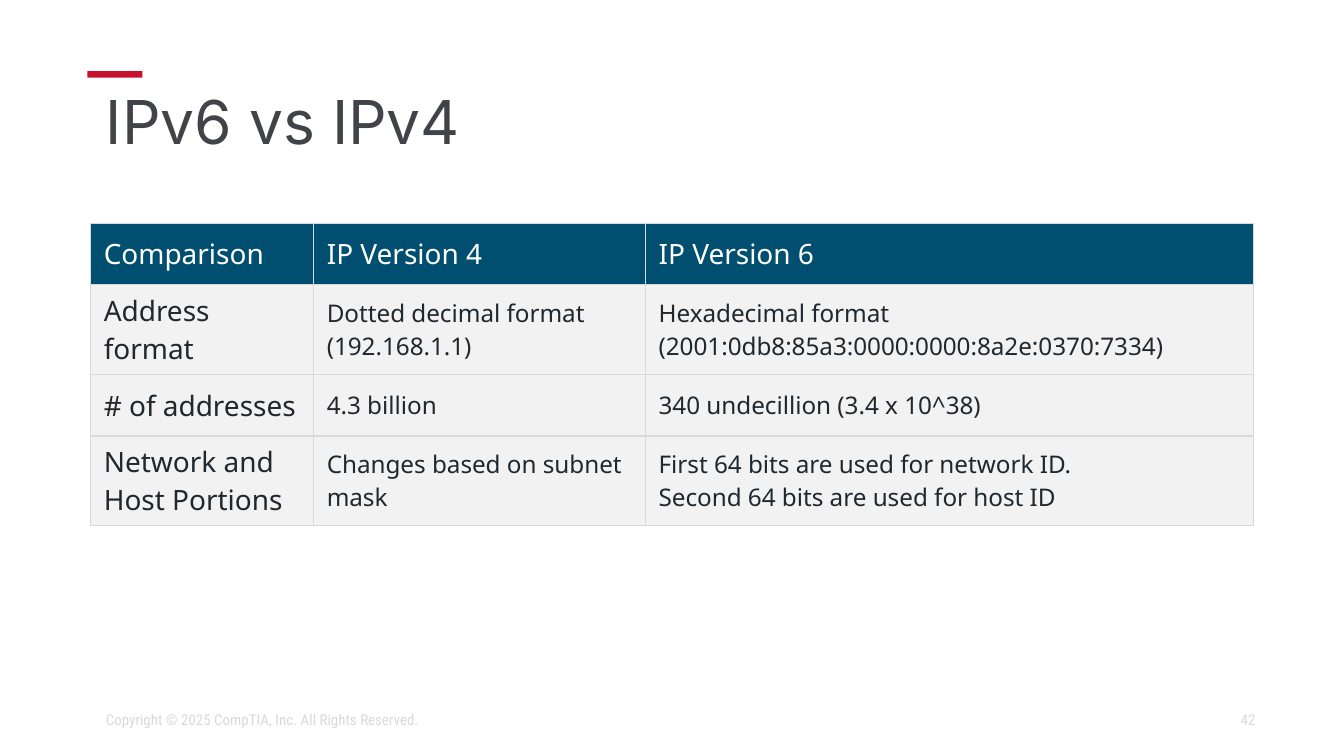
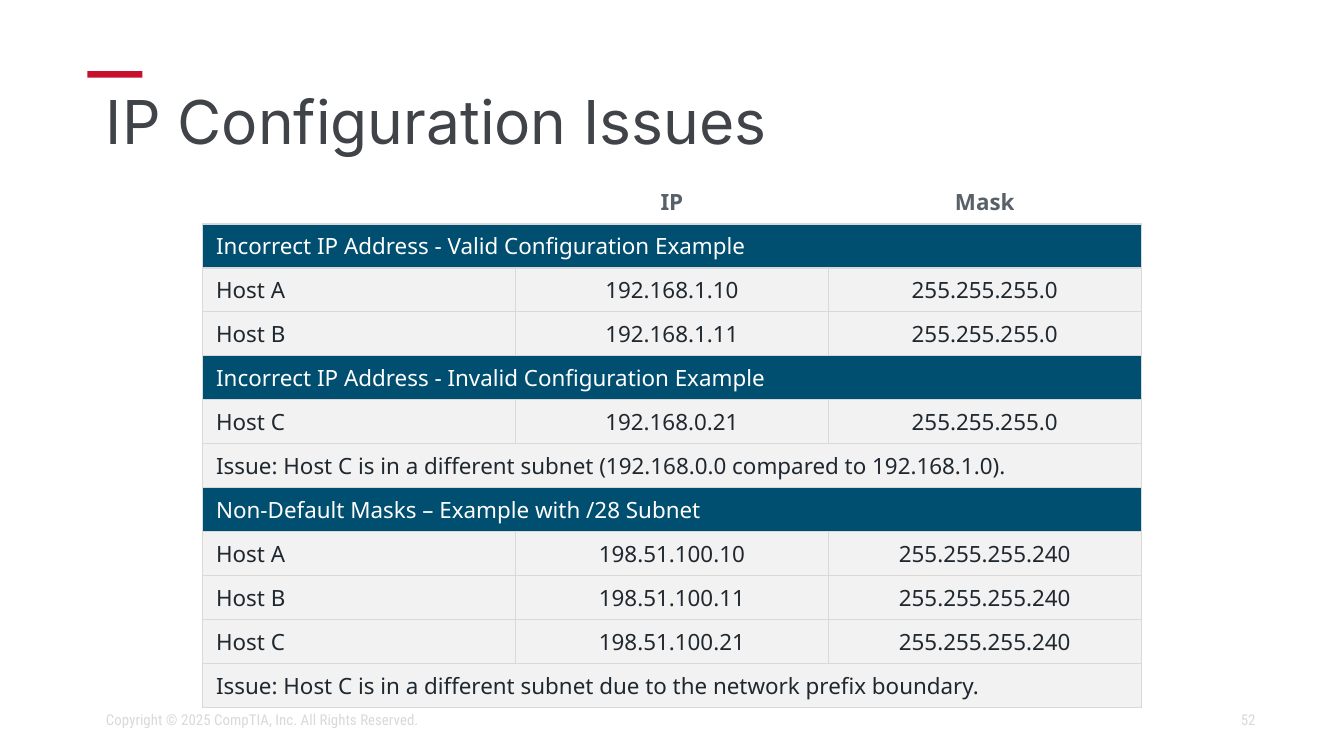
import dataclasses

import lxml.etree
import pptx
import pptx.dml.color
import pptx.enum.shapes
import pptx.enum.text
import pptx.oxml.ns
import pptx.util

Pt = pptx.util.Pt
Align = pptx.enum.text.PP_ALIGN
Anchor = pptx.enum.text.MSO_ANCHOR


@dataclasses.dataclass(frozen=True)
class Theme:
    """Colours, fonts and type sizes of the deck."""

    accent: str = "C8102E"
    title: str = "404448"
    footer: str = "D9D9D9"
    white: str = "FFFFFF"
    band: str = "004F70"
    row: str = "F2F2F2"
    grid: str = "D9D9D9"
    body: str = "20282F"
    caption: str = "586169"
    title_font: str = "Inter"
    body_font: str = "Noto Sans"
    footer_font: str = "Roboto Condensed"
    title_size: float = 32.4
    footer_size: float = 8
    label_size: float = 15
    detail_size: float = 13
    host_size: float = 12
    grid_width: float = 0.75
    edge_width: float = 1


@dataclasses.dataclass(frozen=True)
class Box:
    """A rectangle in points."""

    left: float
    top: float
    width: float
    height: float

    def lengths(self):
        """Return the four sides as lengths."""
        return [Pt(side) for side in dataclasses.astuple(self)]


THEME = Theme()
COPYRIGHT = "Copyright © 2025 CompTIA, Inc. All Rights Reserved."

COMPARISON = [
    ["Comparison", "IP Version 4", "IP Version 6"],
    ["Address format", "Dotted decimal format (192.168.1.1)",
     "Hexadecimal format\n(2001:0db8:85a3:0000:0000:8a2e:0370:7334)"],
    ["# of addresses", "4.3 billion", "340 undecillion (3.4 x 10^38)"],
    ["Network and Host Portions", "Changes based on subnet mask",
     "First 64 bits are used for network ID.\nSecond 64 bits are used for host ID"],
]

HOST_CHECKS = [
    ("caption", ["", "IP", "Mask"]),
    ("band", ["Incorrect IP Address - Valid Configuration Example"]),
    ("host", ["Host A", "192.168.1.10", "255.255.255.0"]),
    ("host", ["Host B", "192.168.1.11", "255.255.255.0"]),
    ("band", ["Incorrect IP Address - Invalid Configuration Example"]),
    ("host", ["Host C", "192.168.0.21", "255.255.255.0"]),
    ("issue", ["Issue: Host C is in a different subnet (192.168.0.0 compared to 192.168.1.0)."]),
    ("band", ["Non-Default Masks – Example with /28 Subnet"]),
    ("host", ["Host A", "198.51.100.10", "255.255.255.240"]),
    ("host", ["Host B", "198.51.100.11", "255.255.255.240"]),
    ("host", ["Host C", "198.51.100.21", "255.255.255.240"]),
    ("issue", ["Issue: Host C is in a different subnet due to the network prefix boundary."]),
]


def rgb(value):
    """Turn a hex string into a colour."""
    return pptx.dml.color.RGBColor.from_string(value)


def apply(target, values):
    """Set each named value on the target."""
    for name, value in values.items():
        setattr(target, name, value)


def write(frame, text, font, size, colour, bold=False, **layout):
    """Write one paragraph for each line of text."""
    for index, line in enumerate(text.split("\n")):
        para = frame.add_paragraph() if index else frame.paragraphs[0]
        apply(para, layout)
        if not line:
            mark = pptx.oxml.ns.qn("a:endParaRPr")
            lxml.etree.SubElement(para._p, mark, sz=str(int(size * 100)))
            continue
        span = para.add_run()
        span.text = line
        apply(span.font, {"name": font, "size": Pt(size), "bold": bold})
        span.font.color.rgb = rgb(colour)


def add_text(page, box, text, font, size, colour, anchor=Anchor.MIDDLE, **layout):
    """Add a wrapped text box."""
    frame = page.shapes.add_textbox(*box.lengths()).text_frame
    apply(frame, {"word_wrap": True, "vertical_anchor": anchor})
    write(frame, text, font, size, colour, **layout)


def add_heading(page, box, title):
    """Place the accent bar and the title in the box."""
    bar = page.shapes.add_shape(
        pptx.enum.shapes.MSO_SHAPE.RECTANGLE,
        *Box(box.left, box.top, 29.5, 3.6).lengths())
    bar.shadow.inherit = False
    bar.fill.solid()
    bar.fill.fore_color.rgb = rgb(THEME.accent)
    bar.line.fill.background()
    add_text(page, Box(box.left + 2.9, box.top + 8, box.width - 2.9, 45.4), title,
             THEME.title_font, THEME.title_size, THEME.title, Anchor.TOP, line_spacing=0.9)


def add_footer(page, box, number):
    """Place the copyright line and page number at the ends of the box."""
    style = (THEME.footer_font, THEME.footer_size, THEME.footer)
    right = Box(box.left + box.width - 171.4, box.top, 171.4, box.height)
    add_text(page, right, str(number), *style, alignment=Align.RIGHT)
    add_text(page, Box(box.left, box.top, 310.3, box.height), COPYRIGHT, *style)


def add_grid(page, box, widths, heights):
    """Add a plain table with the given column widths and row heights."""
    table = page.shapes.add_table(len(heights), len(widths), *box.lengths()).table
    apply(table, {"first_row": False, "horz_banding": False})
    for column, width in zip(table.columns, widths):
        column.width = Pt(width)
    for row, height in zip(table.rows, heights):
        row.height = Pt(height)
    return table


def paint(cell, fill, open_edges=""):
    """Fill a cell and rule its edges, leaving the open ones white."""
    if fill:
        cell.fill.solid()
        cell.fill.fore_color.rgb = rgb(fill)
    else:
        cell.fill.background()
    qn = pptx.oxml.ns.qn
    for index, edge in enumerate("LRTB"):
        is_open = edge in open_edges
        width = THEME.edge_width if is_open else THEME.grid_width
        line = lxml.etree.Element(qn(f"a:ln{edge}"), w=str(int(Pt(width))))
        solid = lxml.etree.SubElement(line, qn("a:solidFill"))
        lxml.etree.SubElement(solid, qn("a:srgbClr"),
                              val=THEME.white if is_open else THEME.grid)
        cell._tc.get_or_add_tcPr().insert(index, line)


def add_comparison(page, box):
    """Add the table that compares the two protocol versions."""
    widths = [119.5, 177.8, box.width - 297.3]
    table = add_grid(page, box, widths, [32.9, 48.2] * 2)
    for row, texts in enumerate(COMPARISON):
        for column, text in enumerate(texts):
            cell = table.cell(row, column)
            is_label = row == 0 or column == 0
            paint(cell, THEME.row if row else THEME.band)
            cell.vertical_anchor = Anchor.MIDDLE
            write(cell.text_frame, text, THEME.body_font,
                  THEME.label_size if is_label else THEME.detail_size,
                  THEME.body if row else THEME.white)


def add_host_checks(page, box):
    """Add the table of host settings, with a full-width row for each band or issue."""
    looks = {
        "caption": (None, THEME.caption, "LRT"),
        "band": (THEME.band, THEME.white, ""),
        "host": (THEME.row, THEME.body, ""),
        "issue": (THEME.row, THEME.body, ""),
    }
    count = len(HOST_CHECKS)
    table = add_grid(page, box, [box.width / 3] * 3, [box.height / count] * count)
    for row, (kind, texts) in enumerate(HOST_CHECKS):
        fill, colour, open_edges = looks[kind]
        for column in range(3):
            paint(table.cell(row, column), fill, open_edges)
        if len(texts) == 1:
            table.cell(row, 0).merge(table.cell(row, 2))
        for column, text in enumerate(texts):
            write(table.cell(row, column).text_frame, text, THEME.body_font,
                  THEME.host_size, colour, bold=kind == "caption",
                  alignment=Align.CENTER if column else Align.LEFT)


def add_page(deck, title, number, add_body, box):
    """Add a page with heading, footer and body table."""
    page = deck.slides.add_slide(deck.slide_layouts[6])
    add_heading(page, Box(46.8, 38.1, 623.5, 53.4), title)
    add_footer(page, Box(49.7, 374.8, 630, 21.6), number)
    add_body(page, box)


def main():
    """Build and save the deck."""
    deck = pptx.Presentation()
    deck.slide_width = Pt(720)
    deck.slide_height = Pt(404.64)
    add_page(deck, "IPv6 vs IPv4", 42, add_comparison, Box(48.4, 119.7, 623.2, 162.2))
    add_page(deck, "IP Configuration Issues", 52, add_host_checks,
             Box(108.6, 96.5, 502.8, 282.84))
    deck.save("out.pptx")


if __name__ == "__main__":
    main()
